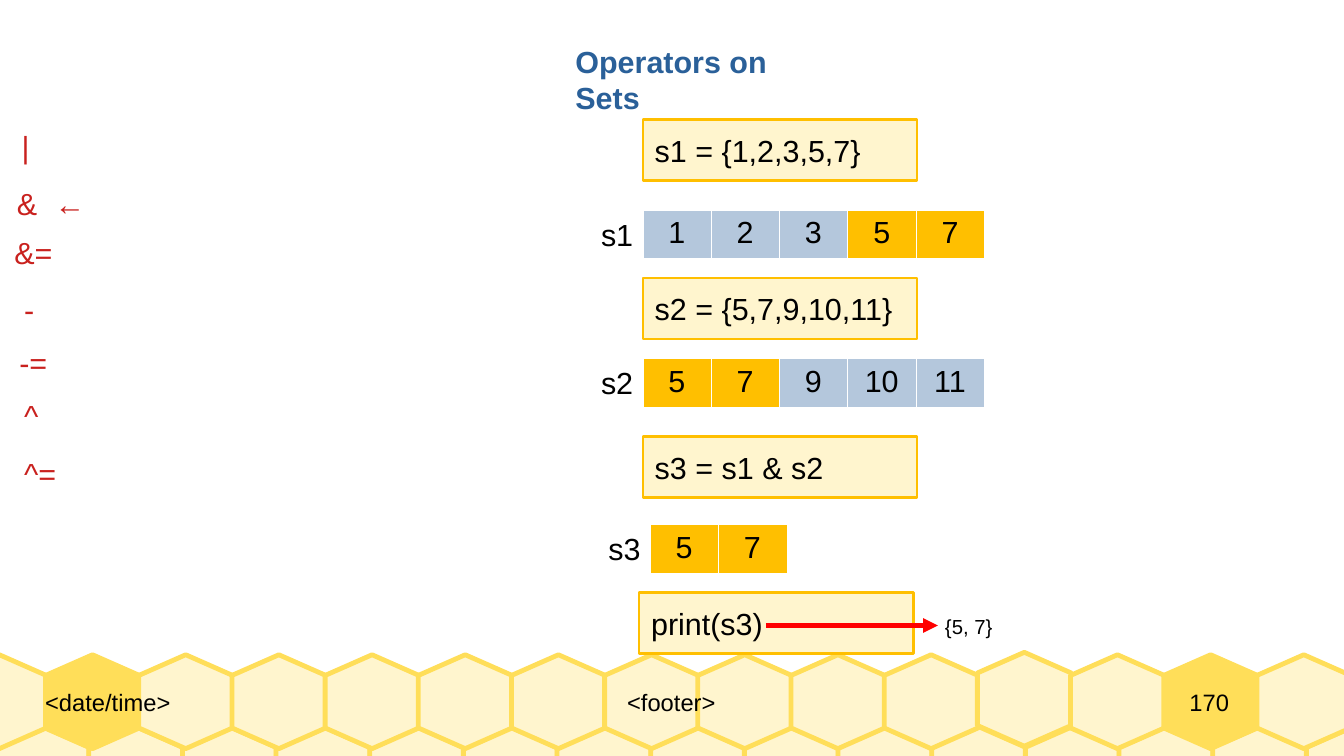
from dataclasses import dataclass

from lxml.etree import SubElement
from pptx import Presentation
from pptx.dml.color import RGBColor
from pptx.enum.shapes import MSO_CONNECTOR, MSO_SHAPE
from pptx.enum.text import MSO_ANCHOR, PP_ALIGN
from pptx.oxml.ns import qn
from pptx.util import Inches, Pt


@dataclass(frozen=True)
class Theme:
    font: str = "Arial"
    text: str = "000000"
    title: str = "2A6099"
    operator: str = "C9211E"
    cream: str = "FFF5CE"
    honey: str = "FFDE59"
    amber: str = "FFBF00"
    blue: str = "B4C7DC"
    arrow: str = "FF0000"
    white: str = "FFFFFF"
    body_size: float = 18
    footer_size: float = 14
    result_size: float = 12


THEME = Theme()


def rgb(value):
    return RGBColor.from_string(value)


def paint(shape, fill, line, width):
    shape.shadow.inherit = False
    shape.fill.solid()
    shape.fill.fore_color.rgb = rgb(fill)
    shape.line.color.rgb = rgb(line)
    shape.line.width = Pt(width)


def write(paragraph, text, size=THEME.body_size, color=THEME.text, bold=False,
          align=PP_ALIGN.LEFT):
    paragraph.alignment = align
    run = paragraph.add_run()
    run.text = text
    run.font.name = THEME.font
    run.font.size = Pt(size)
    run.font.bold = bold
    run.font.color.rgb = rgb(color)


def add_label(slide, box, text, wrap=True, **style):
    label = slide.shapes.add_textbox(*map(Inches, box))
    label.text_frame.word_wrap = wrap
    write(label.text_frame.paragraphs[0], text, **style)
    return label


def add_hexagon(slide, left, top, size, fill):
    middle, right = left + size / 2, left + size
    upper, lower = top + 0.17 * size / 0.77, top + 0.6 * size / 0.77
    corners = [(middle, top), (left, upper), (left, lower),
               (middle, top + size), (right, lower), (right, upper)]
    start, *others = [(Inches(x), Inches(y)) for x, y in corners]
    outline = slide.shapes.build_freeform(*start)
    outline.add_line_segments(others, close=True)
    paint(outline.convert_to_shape(), fill, THEME.honey, 2.83)


def add_honeycomb(slide, left, top, size):
    # Lower row of cells
    for column in range(15):
        add_hexagon(slide, left + 0.35 + 0.768 * column, top + 0.59, size, THEME.cream)
    # Upper row, with filled cells behind the date and the slide number
    for column in range(15):
        fill = THEME.honey if column in (1, 13) else THEME.cream
        raised = 0.02 if column == 11 else 0
        add_hexagon(slide, left + 0.764 * column, top - raised, size, fill)


def add_footer(slide, top, height):
    fields = [(0.37, 2.63, "<date/time>", PP_ALIGN.LEFT),
              (3, 5.01, "<footer>", PP_ALIGN.CENTER),
              (9.29, 1.25, "170", PP_ALIGN.CENTER)]
    for left, width, text, align in fields:
        field = add_label(slide, (left, top, width, height), text,
                          size=THEME.footer_size, align=align)
        frame = field.text_frame
        frame.vertical_anchor = MSO_ANCHOR.MIDDLE
        frame.margin_left = frame.margin_right = 0
        frame.margin_top = frame.margin_bottom = 0


def add_operators(slide, left, top):
    operators = [(0.08, 0, "|"), (0.04, 0.47, "&\t←"), (0.02, 0.87, "&="),
                 (0.1, 1.34, "-"), (0.06, 1.77, "-="), (0.1, 2.21, "^"),
                 (0.1, 2.68, "^=")]
    for indent, drop, symbol in operators:
        operator = add_label(slide, (left + indent, top + drop, 0.96, 0.38),
                             symbol, color=THEME.operator)
        if "\t" in symbol:
            # Tab stop for the arrow that marks the current operator
            properties = operator.text_frame.paragraphs[0]._p.get_or_add_pPr()
            stops = SubElement(properties, qn("a:tabLst"))
            SubElement(stops, qn("a:tab"), pos=str(Inches(0.31)), algn="l")


def add_code(slide, left, top, text):
    code = slide.shapes.add_shape(MSO_SHAPE.RECTANGLE, Inches(left), Inches(top),
                                  Inches(2.25), Inches(0.5))
    paint(code, THEME.cream, THEME.amber, 1.42)
    code.text_frame.word_wrap = True
    code.text_frame.vertical_anchor = MSO_ANCHOR.MIDDLE
    write(code.text_frame.paragraphs[0], text)


def set_borders(cell):
    properties = cell._tc.get_or_add_tcPr()
    for position, side in enumerate(("a:lnL", "a:lnR", "a:lnT", "a:lnB")):
        border = properties.makeelement(qn(side), {"w": str(Pt(0.06))})
        fill = SubElement(border, qn("a:solidFill"))
        SubElement(fill, qn("a:srgbClr"), val=THEME.white)
        properties.insert(position, border)


def add_set(slide, left, top, name, values, common):
    cell_width, height = 0.56, 0.38
    frame = slide.shapes.add_table(1, len(values), Inches(left), Inches(top),
                                   Inches(cell_width * len(values)), Inches(height))
    members = frame.table
    members.first_row = members.horz_banding = False
    for column, value in enumerate(values):
        members.columns[column].width = Inches(cell_width)
        cell = members.cell(0, column)
        cell.fill.solid()
        cell.fill.fore_color.rgb = rgb(THEME.amber if value in common else THEME.blue)
        set_borders(cell)
        write(cell.text_frame.paragraphs[0], str(value), align=PP_ALIGN.CENTER)
    add_label(slide, (left - 0.44, top, 0.5, height), name)


def add_example(slide, left, top):
    s1, s2 = [1, 2, 3, 5, 7], [5, 7, 9, 10, 11]
    common = [value for value in s1 if value in s2]
    # Each statement with the set it produces
    steps = [("s1 = {1,2,3,5,7}", 0.03, 0, "s1", s1, 0.03, 0.74),
             ("s2 = {5,7,9,10,11}", 0.03, 1.3, "s2", s2, 0.03, 1.96),
             ("s3 = s1 & s2", 0.03, 2.6, "s3", common, 0.09, 3.32)]
    for code, code_x, code_y, name, values, set_x, set_y in steps:
        add_code(slide, left + code_x, top + code_y, code)
        add_set(slide, left + set_x, top + set_y, name, values, common)
    # Printed result
    add_code(slide, left, top + 3.88, "print(s3)")
    add_label(slide, (left + 2.41, top + 4.01, 0.59, 0.29), "{5, 7}",
              wrap=False, size=THEME.result_size)
    level = Inches(top + 4.15)
    arrow = slide.shapes.add_connector(MSO_CONNECTOR.STRAIGHT, Inches(left + 1.04),
                                       level, Inches(left + 2.45), level)
    arrow.line.color.rgb = rgb(THEME.arrow)
    arrow.line.width = Pt(2.89)
    SubElement(arrow.line._get_or_add_ln(), qn("a:tailEnd"), type="triangle")
    SubElement(arrow._element.spPr, qn("a:effectLst"))


def main():
    deck = Presentation()
    deck.slide_width, deck.slide_height = Inches(11.02), Inches(6.2)
    slide = deck.slides.add_slide(deck.slide_layouts[6])
    add_honeycomb(slide, -0.39, 5.37, 0.77)
    add_footer(slide, 5.37, 0.77)
    add_label(slide, (4.62, 0.3, 2.36, 0.38), "Operators on Sets", wrap=False,
              color=THEME.title, bold=True)
    add_operators(slide, 0, 1)
    add_example(slide, 5.24, 0.98)
    deck.save("out.pptx")


if __name__ == "__main__":
    main()
